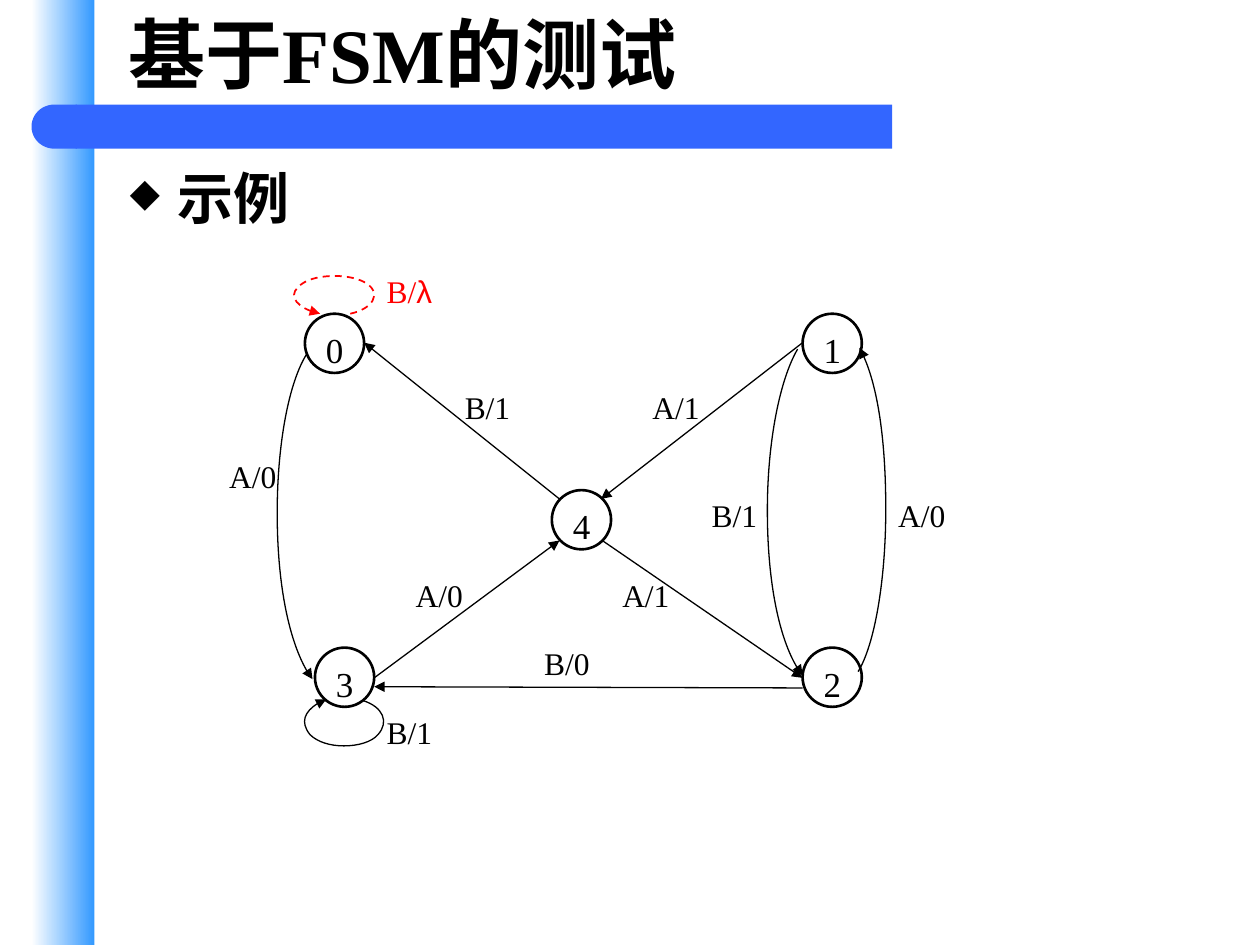
from dataclasses import dataclass
from typing import Optional

from lxml.etree import SubElement
from pptx import Presentation
from pptx.dml.color import RGBColor
from pptx.enum.dml import MSO_LINE
from pptx.enum.shapes import MSO_CONNECTOR, MSO_SHAPE
from pptx.enum.text import MSO_ANCHOR, MSO_AUTO_SIZE, PP_ALIGN
from pptx.oxml.ns import qn
from pptx.util import Inches, Pt

Point = tuple[float, float]


@dataclass(frozen=True)
class Theme:
    ink: RGBColor = RGBColor(0x00, 0x00, 0x00)
    white: RGBColor = RGBColor(0xFF, 0xFF, 0xFF)
    sky: RGBColor = RGBColor(0x33, 0x99, 0xFF)
    bar: RGBColor = RGBColor(0x33, 0x66, 0xFF)
    accent: RGBColor = RGBColor(0xFF, 0x00, 0x00)
    serif: str = "Times New Roman"
    sans: str = "Arial"
    title_font: str = "Calibri"
    cjk: str = "Noto Sans CJK JP"
    title_size: float = 44
    heading_size: float = 32
    state_size: float = 20
    label_size: float = 18
    state_line: float = 1.5
    edge_line: float = 0.75
    added_line: float = 1


@dataclass(frozen=True)
class State:
    name: str
    left: float
    top: float


@dataclass(frozen=True)
class Frame:
    left: float
    top: float
    width: float
    height: float
    rotation: int = 0


@dataclass(frozen=True)
class Transition:
    """An edge: straight without a frame, else a start and cubic Bezier triples."""
    label: str
    label_left: float
    label_top: float
    route: tuple[Point, ...]
    frame: Optional[Frame] = None
    added: bool = False


THEME = Theme()
STATE_SIZE = 0.47
LABEL_WIDTH, LABEL_HEIGHT = 0.62, 0.4

STATES = (
    State("0", 2.42, 2.49), State("3", 2.5, 5.14), State("2", 6.37, 5.14),
    State("4", 4.38, 3.89), State("1", 6.37, 2.49),
)
TRANSITIONS = (
    Transition("A/0", 1.72, 3.58, ((2.44, 2.8), (2.29, 3.03), (2.2, 3.53), (2.2, 4.07),
                                   (2.2, 4.66), (2.32, 5.19), (2.48, 5.39)),
               Frame(2.2, 2.67, 0.83, 2.8, 180)),
    Transition("B/1", 3.59, 3.03, ((4.44, 3.96), (2.89, 2.72))),
    Transition("A/0", 3.2, 4.52, ((2.97, 5.38), (4.44, 4.29))),
    Transition("A/1", 5.08, 3.03, ((6.37, 2.72), (4.77, 3.96))),
    Transition("A/1", 4.84, 4.52, ((4.78, 4.29), (6.37, 5.38))),
    Transition("B/0", 4.22, 5.06, ((6.37, 5.46), (2.97, 5.45))),
    Transition("B/1", 5.55, 3.89, ((6.33, 2.77), (6.19, 3.01), (6.09, 3.5), (6.09, 4.05),
                                   (6.09, 4.64), (6.21, 5.17), (6.37, 5.36)),
               Frame(6.09, 2.64, 0.83, 2.8, 180)),
    Transition("A/0", 7.03, 3.89, ((6.81, 5.33), (6.94, 5.12), (7.03, 4.61), (7.03, 4.04),
                                   (7.03, 3.48), (6.95, 2.98), (6.82, 2.76)),
               Frame(6.33, 2.64, 0.7, 2.8, 180)),
    Transition("B/1", 2.97, 5.61, ((2.88, 5.56), (3.04, 5.61), (3.09, 5.73), (3, 5.83),
                                   (2.95, 5.89), (2.84, 5.92), (2.73, 5.92),
                                   (2.62, 5.92), (2.52, 5.89), (2.46, 5.83),
                                   (2.38, 5.73), (2.43, 5.61), (2.59, 5.55)),
               Frame(2.42, 5.53, 0.62, 0.39)),
    Transition("B/λ", 2.97, 2.11, ((2.78, 2.49), (2.96, 2.45), (3.03, 2.33), (2.91, 2.25),
                                   (2.85, 2.21), (2.75, 2.19), (2.66, 2.19),
                                   (2.55, 2.19), (2.46, 2.21), (2.4, 2.25),
                                   (2.28, 2.33), (2.35, 2.45), (2.54, 2.49)),
               Frame(2.34, 2.19, 0.62, 0.31), added=True),
)


def add_run(paragraph, text: str, font: str, size: float, color: RGBColor = THEME.ink,
            bold: bool = False, cjk: bool = False) -> None:
    run = paragraph.add_run()
    run.text = text
    run.font.name = font
    run.font.size = Pt(size)
    run.font.bold = bold
    run.font.color.rgb = color
    if cjk:
        latin = run.font._element.find(qn("a:latin"))
        latin.addnext(SubElement(run.font._element, qn("a:ea"), typeface=THEME.cjk))


def add_text_box(slide, left: float, top: float, width: float, height: float):
    box = slide.shapes.add_textbox(Inches(left), Inches(top), Inches(width), Inches(height))
    box.text_frame.word_wrap = True
    return box.text_frame


def add_plain_shape(slide, preset, left: float, top: float, width: float, height: float):
    shape = slide.shapes.add_shape(preset, Inches(left), Inches(top),
                                   Inches(width), Inches(height))
    shape.shadow.inherit = False
    shape.line.fill.background()
    return shape


def draw_frame(slide) -> None:
    """Draw the fading side band and the bar under the title."""
    band = add_plain_shape(slide, MSO_SHAPE.RECTANGLE, 0.25, 0, 0.5, 7.5)
    band.fill.gradient()
    band.fill.gradient_angle = 0
    for stop, color, position in zip(band.fill.gradient_stops,
                                     (THEME.white, THEME.sky), (0, 1)):
        stop.color.rgb = color
        stop.position = position
    bar = add_plain_shape(slide, MSO_SHAPE.RECTANGLE, 0.6, 0.83, 6.48, 0.35)
    bar_end = add_plain_shape(slide, MSO_SHAPE.FLOWCHART_DELAY, 0.25, 0.83, 0.36, 0.35)
    bar_end.rotation = 180
    for part in (bar, bar_end):
        part.fill.solid()
        part.fill.fore_color.rgb = THEME.bar


def draw_headings(slide) -> None:
    title = add_text_box(slide, 0.92, 0, 8.67, 0.83)
    title.vertical_anchor = MSO_ANCHOR.MIDDLE
    for text, font, cjk in (("基于", THEME.title_font, True), ("FSM", THEME.serif, False),
                            ("的测试", THEME.title_font, True)):
        add_run(title.paragraphs[0], text, font, THEME.title_size, bold=True, cjk=cjk)

    body = add_text_box(slide, 0.86, 1.25, 8.92, 0.78)
    body.margin_left = Inches(0.17)
    heading = body.paragraphs[0]
    properties = heading._p.get_or_add_pPr()
    properties.set("marL", str(Inches(0.38)))
    properties.set("indent", str(-Inches(0.38)))
    SubElement(properties, qn("a:buSzPct"), val="70000")
    SubElement(properties, qn("a:buChar"), char="◆")
    add_run(heading, "示例", THEME.cjk, THEME.heading_size, bold=True, cjk=True)


def draw_state(slide, state: State) -> None:
    circle = add_plain_shape(slide, MSO_SHAPE.OVAL, state.left, state.top,
                             STATE_SIZE, STATE_SIZE)
    circle.fill.background()
    circle.line.color.rgb = THEME.ink
    circle.line.width = Pt(THEME.state_line)
    circle.text_frame.vertical_anchor = MSO_ANCHOR.TOP
    paragraph = circle.text_frame.paragraphs[0]
    paragraph.alignment = PP_ALIGN.CENTER
    add_run(paragraph, state.name, THEME.serif, THEME.state_size)


def add_curve(slide, route: tuple[Point, ...], frame: Frame):
    """Add an open chain of cubic curves, placed within its frame."""
    builder = slide.shapes.build_freeform()
    builder.add_line_segments([(Inches(1), Inches(1))], close=False)
    curve = builder.convert_to_shape()
    curve.left, curve.top = Inches(frame.left), Inches(frame.top)
    curve.width, curve.height = Inches(frame.width), Inches(frame.height)
    curve.rotation = frame.rotation
    outline = next(curve._element.iter(qn("a:path")))
    for segment in list(outline):
        outline.remove(segment)
    outline.set("w", str(curve.width))
    outline.set("h", str(curve.height))
    pieces = [("a:moveTo", route[:1])]
    pieces += [("a:cubicBezTo", route[i:i + 3]) for i in range(1, len(route), 3)]
    for tag, points in pieces:
        segment = SubElement(outline, qn(tag))
        for x, y in points:
            local_x, local_y = Inches(x - frame.left), Inches(y - frame.top)
            if frame.rotation:
                local_x, local_y = curve.width - local_x, curve.height - local_y
            SubElement(segment, qn("a:pt"), x=str(local_x), y=str(local_y))
    curve.shadow.inherit = False
    curve.fill.background()
    return curve


def draw_transition(slide, transition: Transition) -> None:
    color = THEME.accent if transition.added else THEME.ink
    if transition.frame:
        edge = add_curve(slide, transition.route, transition.frame)
    else:
        ends = [Inches(value) for point in transition.route for value in point]
        edge = slide.shapes.add_connector(MSO_CONNECTOR.STRAIGHT, *ends)
        SubElement(edge._element.spPr, qn("a:effectLst"))
    edge.line.color.rgb = color
    edge.line.width = Pt(THEME.added_line if transition.added else THEME.edge_line)
    if transition.added:
        edge.line.dash_style = MSO_LINE.DASH
    SubElement(edge._element.spPr.find(qn("a:ln")), qn("a:tailEnd"), type="triangle")

    label = add_text_box(slide, transition.label_left, transition.label_top,
                         LABEL_WIDTH, LABEL_HEIGHT)
    label.auto_size = MSO_AUTO_SIZE.SHAPE_TO_FIT_TEXT
    latin_text = transition.label.removesuffix("λ")
    add_run(label.paragraphs[0], latin_text, THEME.serif, THEME.label_size, color)
    if latin_text != transition.label:
        add_run(label.paragraphs[0], "λ", THEME.sans, THEME.label_size, color)


def main() -> None:
    deck = Presentation()
    deck.slide_width, deck.slide_height = Inches(10), Inches(7.5)
    slide = deck.slides.add_slide(deck.slide_layouts[6])
    draw_frame(slide)
    draw_headings(slide)
    for state in STATES:
        draw_state(slide, state)
    for transition in TRANSITIONS:
        draw_transition(slide, transition)
    deck.save("out.pptx")


if __name__ == "__main__":
    main()
